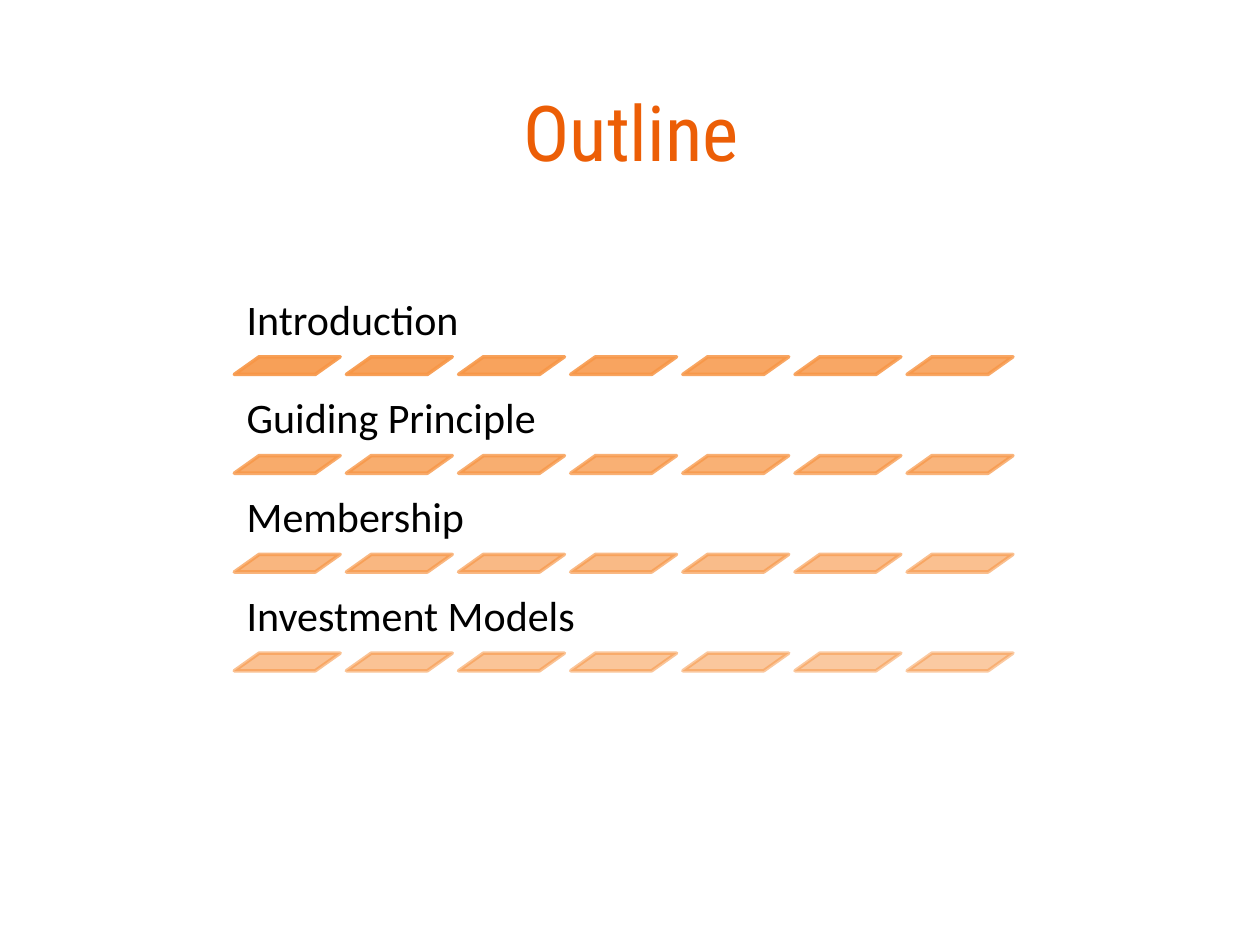
from lxml import etree
from pptx import Presentation
from pptx.dml.color import RGBColor
from pptx.enum.shapes import MSO_SHAPE
from pptx.enum.text import MSO_ANCHOR, PP_ALIGN
from pptx.oxml.ns import qn
from pptx.util import Pt

PARALLELOGRAM = MSO_SHAPE.PARALLELOGRAM
MIDDLE, BOTTOM = MSO_ANCHOR.MIDDLE, MSO_ANCHOR.BOTTOM
LEFT, CENTER = PP_ALIGN.LEFT, PP_ALIGN.CENTER

COLORS = {"title": "EC5E06", "topic": "000000", "dash": "F79646"}
TOPICS = ["Introduction", "Guiding Principle", "Membership", "Investment Models"]
DASHES = 7
LIST_LEFT, LIST_TOP = 133.9, 162.7
ROW_PITCH, DASH_PITCH = 56.45, 64.08
TOPIC_WIDTH, TOPIC_HEIGHT = 453.6, 41.2
DASH_WIDTH, DASH_HEIGHT = 60.5, 10.1
FIRST_OPACITY, LAST_OPACITY = 90, 50


def write_line(frame, text, font_name, size, color, align):
    frame.text = text
    line = frame.paragraphs[0]
    line.alignment = align
    font = line.runs[0].font
    font.name = font_name
    font.size = Pt(size)
    font.color.rgb = RGBColor.from_string(color)
    return line


prs = Presentation()
prs.slide_width, prs.slide_height = Pt(720), Pt(540)
slide = prs.slides.add_slide(prs.slide_layouts[5])

title = slide.shapes.title
title.left, title.top, title.width, title.height = Pt(54.7), Pt(41.8), Pt(612), Pt(66.2)
title.text_frame.vertical_anchor = MIDDLE
write_line(title.text_frame, "Outline", "Roboto Condensed", 44, COLORS["title"], CENTER)

opacity_step = (FIRST_OPACITY - LAST_OPACITY) / (len(TOPICS) * DASHES - 1)

for row, topic in enumerate(TOPICS):
    top = LIST_TOP + row * ROW_PITCH
    label = slide.shapes.add_textbox(Pt(LIST_LEFT), Pt(top), Pt(TOPIC_WIDTH), Pt(TOPIC_HEIGHT))
    frame = label.text_frame
    frame.word_wrap = True
    frame.vertical_anchor = BOTTOM
    frame.margin_left = frame.margin_right = Pt(7.2)
    frame.margin_top = frame.margin_bottom = Pt(7.2)
    line = write_line(frame, topic, "Calibri", 24, COLORS["topic"], LEFT)
    line.line_spacing = 0.9

    for column in range(DASHES):
        dash = slide.shapes.add_shape(
            PARALLELOGRAM, Pt(LIST_LEFT + column * DASH_PITCH), Pt(top + TOPIC_HEIGHT),
            Pt(DASH_WIDTH), Pt(DASH_HEIGHT))
        dash.shadow.inherit = False
        dash.adjustments[0] = 1.41
        dash.line.width = Pt(2)
        opacity = round(FIRST_OPACITY - (row * DASHES + column) * opacity_step)
        for paint in (dash.fill, dash.line.fill):
            paint.solid()
            paint.fore_color.rgb = RGBColor.from_string(COLORS["dash"])
        for color in dash.element.spPr.iter(qn("a:srgbClr")):
            etree.SubElement(color, qn("a:alpha"), val=str(opacity * 1000))

prs.save("out.pptx")
